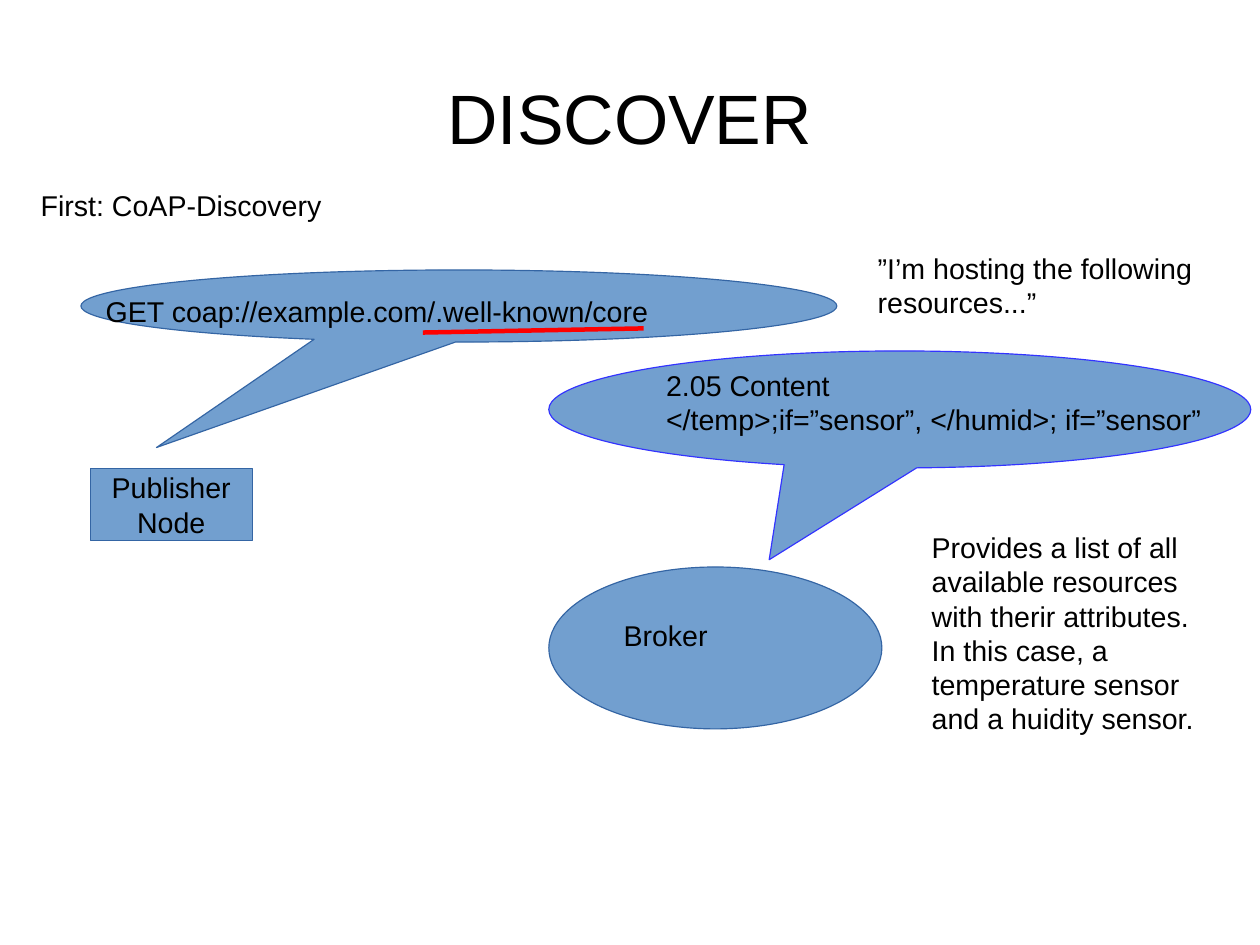
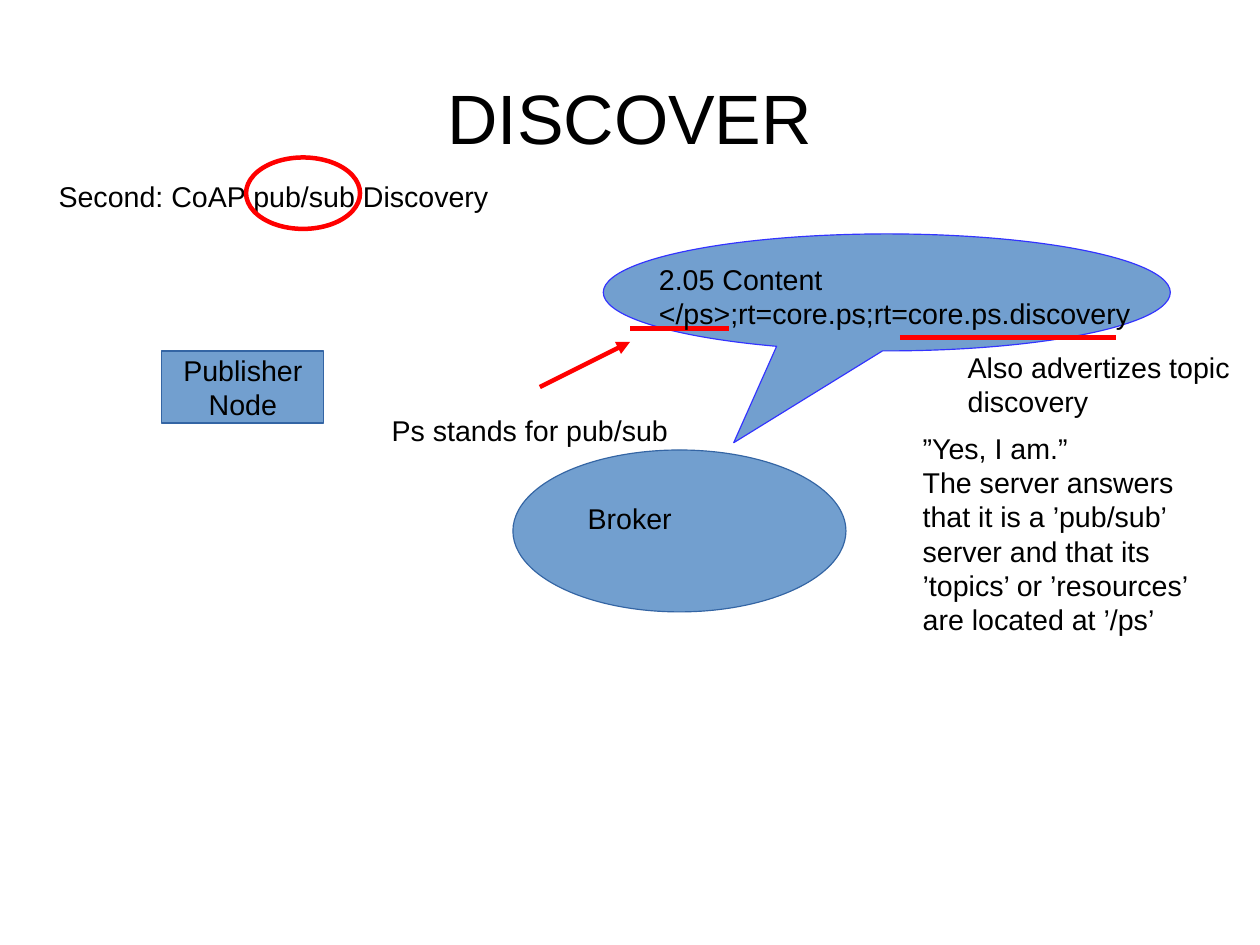
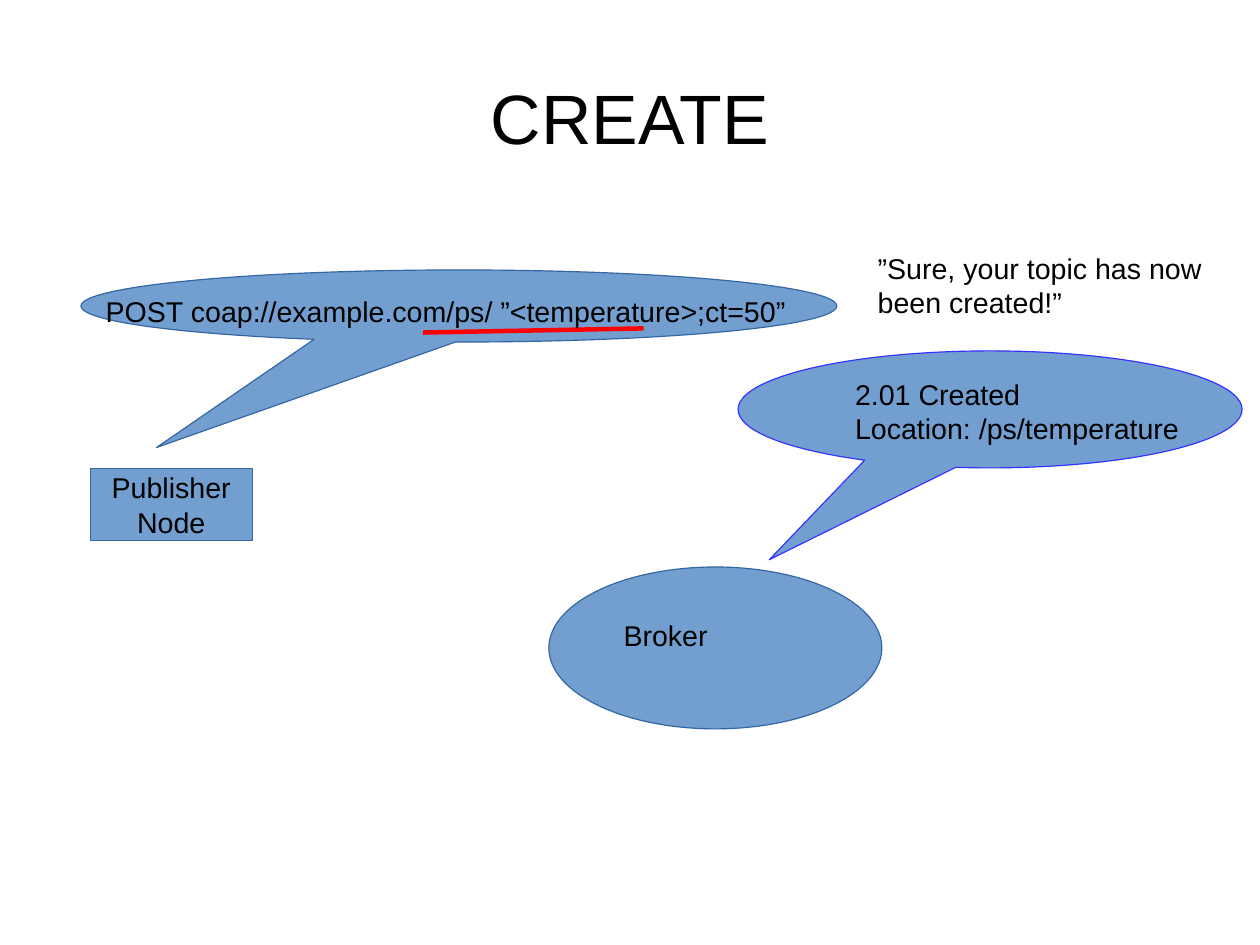
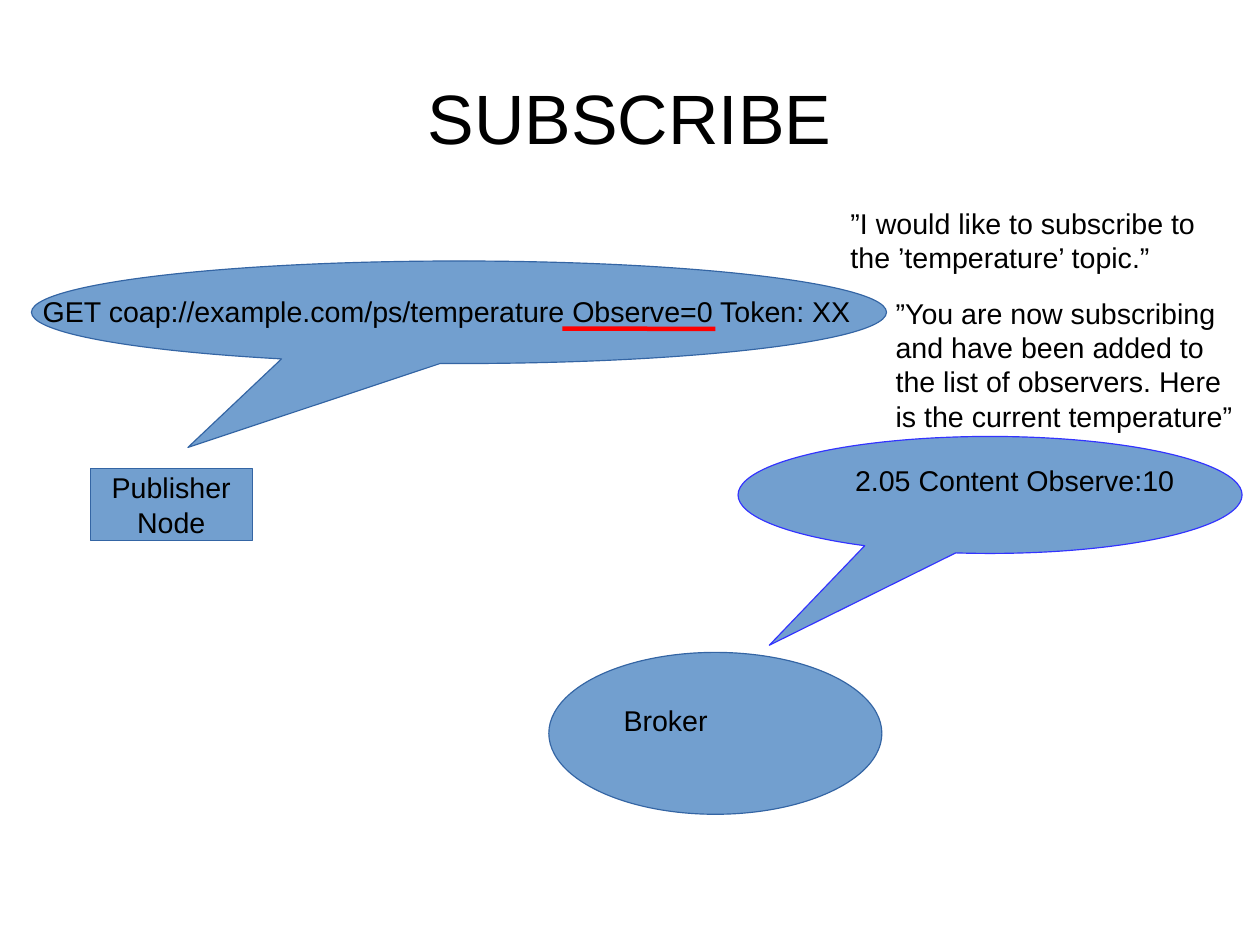
from dataclasses import dataclass

from lxml.etree import SubElement
from pptx import Presentation
from pptx.dml.color import RGBColor
from pptx.enum.shapes import MSO_CONNECTOR, MSO_SHAPE
from pptx.enum.text import MSO_ANCHOR, MSO_AUTO_SIZE, PP_ALIGN
from pptx.oxml.ns import qn
from pptx.util import Pt


@dataclass(frozen=True)
class Theme:
    font: str = "Arial"
    title_size: float = 44
    body_size: float = 18
    hairline: float = 0
    mark_width: float = 2.83
    ink: RGBColor = RGBColor(0x00, 0x00, 0x00)
    fill: RGBColor = RGBColor(0x72, 0x9F, 0xCF)
    border: RGBColor = RGBColor(0x34, 0x65, 0xA4)
    reply_border: RGBColor = RGBColor(0x33, 0x33, 0xFF)
    mark: RGBColor = RGBColor(0xFF, 0x00, 0x00)


THEME = Theme()

# Shared geometry, in points
SLIDE_SIZE = (793.7, 595.3)
TITLE_BOX = (39.7, 23.7, 714.3, 99.2)
PUBLISHER_SIZE = (102, 45.4)
BROKER_SIZE = (209.8, 102)
BROKER_LABEL_OFFSET = (40, 28.3)
BROKER_LABEL_SIZE = (130, 27.4)
TIGHT = (7.2, 3.6)
ROOMY = (8.6, 5)


# Parts of a slide
@dataclass(frozen=True)
class Publisher:
    left: float
    top: float


@dataclass(frozen=True)
class Broker:
    left: float
    top: float


@dataclass(frozen=True)
class Bubble:
    box: tuple[float, float, float, float]
    tip: tuple[float, float]
    border: RGBColor = THEME.border


@dataclass(frozen=True)
class Note:
    text: str
    box: tuple[float, float, float, float]
    inset: tuple[float, float] = ROOMY


@dataclass(frozen=True)
class Mark:
    start: tuple[float, float]
    end: tuple[float, float]
    arrow: bool = False


@dataclass(frozen=True)
class Ring:
    box: tuple[float, float, float, float]


def points(values):
    return [Pt(value) for value in values]


def format_text(frame, size=THEME.body_size, align=PP_ALIGN.LEFT):
    for paragraph in frame.paragraphs:
        paragraph.alignment = align
        for run in paragraph.runs:
            run.font.name = THEME.font
            run.font.size = Pt(size)
            run.font.color.rgb = THEME.ink


def set_insets(frame, horizontal: float, vertical: float):
    frame.margin_left = frame.margin_right = Pt(horizontal)
    frame.margin_top = frame.margin_bottom = Pt(vertical)


def draw_shape(slide, preset, box, border=THEME.border, width=THEME.hairline,
               filled=True):
    shape = slide.shapes.add_shape(preset, *points(box))
    shape.shadow.inherit = False
    if filled:
        shape.fill.solid()
        shape.fill.fore_color.rgb = THEME.fill
    else:
        shape.fill.background()
    shape.line.color.rgb = border
    shape.line.width = Pt(width)
    return shape


def draw_title(slide, title: str):
    frame = slide.shapes.add_textbox(*points(TITLE_BOX)).text_frame
    frame.word_wrap = True
    frame.vertical_anchor = MSO_ANCHOR.MIDDLE
    set_insets(frame, 0, 0)
    frame.text = title
    format_text(frame, THEME.title_size, PP_ALIGN.CENTER)


def draw_note(slide, note: Note):
    frame = slide.shapes.add_textbox(*points(note.box)).text_frame
    frame.word_wrap = True
    frame.auto_size = MSO_AUTO_SIZE.SHAPE_TO_FIT_TEXT
    set_insets(frame, *note.inset)
    frame.text = note.text
    format_text(frame)


def draw_publisher(slide, publisher: Publisher):
    box = (publisher.left, publisher.top, *PUBLISHER_SIZE)
    frame = draw_shape(slide, MSO_SHAPE.RECTANGLE, box).text_frame
    frame.word_wrap = False
    frame.vertical_anchor = MSO_ANCHOR.MIDDLE
    set_insets(frame, *TIGHT)
    frame.text = "Publisher\nNode"
    format_text(frame, align=PP_ALIGN.CENTER)


def draw_broker(slide, broker: Broker):
    draw_shape(slide, MSO_SHAPE.OVAL, (broker.left, broker.top, *BROKER_SIZE))
    dx, dy = BROKER_LABEL_OFFSET
    label_box = (broker.left + dx, broker.top + dy, *BROKER_LABEL_SIZE)
    draw_note(slide, Note("Broker", label_box, TIGHT))


def draw_bubble(slide, bubble: Bubble):
    callout = draw_shape(slide, MSO_SHAPE.OVAL_CALLOUT, bubble.box, bubble.border)
    callout.adjustments[0], callout.adjustments[1] = bubble.tip


def draw_ring(slide, ring: Ring):
    draw_shape(slide, MSO_SHAPE.OVAL, ring.box, THEME.mark, THEME.mark_width,
               filled=False)


def draw_mark(slide, mark: Mark):
    stroke = slide.shapes.add_connector(
        MSO_CONNECTOR.STRAIGHT, *points(mark.start + mark.end))
    stroke.line.color.rgb = THEME.mark
    stroke.line.width = Pt(THEME.mark_width)
    properties = stroke._element.spPr
    if mark.arrow:
        SubElement(properties.find(qn("a:ln")), qn("a:tailEnd"), type="triangle")
    SubElement(properties, qn("a:effectLst"))


DRAWERS = {
    Publisher: draw_publisher,
    Broker: draw_broker,
    Bubble: draw_bubble,
    Note: draw_note,
    Mark: draw_mark,
    Ring: draw_ring,
}

# Parts that come back on several slides
PUBLISHER = Publisher(56.9, 295.2)
BROKER = Broker(345.7, 357.2)
REQUEST_BUBBLE = Bubble((51, 170.1, 476.2, 45.4), (-0.4, 1.963))
REQUEST_BOX = (59.5, 181.4, 459.4, 47.5)
REQUEST_UNDERLINE = Mark((266.4, 209.5), (405.4, 206.9))
QUOTE_BOX = (544.3, 153.1, 249.1, 50.4)


def reply_bubble(left: float, top: float, width: float, tip_x: float) -> Bubble:
    return Bubble((left, top, width, 73.7), (tip_x, 1.285), THEME.reply_border)


SLIDES = (
    ("DISCOVER", (
        PUBLISHER,
        REQUEST_BUBBLE,
        Note("GET coap://example.com/.well-known/core", REQUEST_BOX, TIGHT),
        REQUEST_UNDERLINE,
        Note("First: CoAP-Discovery", (17, 113.4, 771.1, 30.2)),
        BROKER,
        reply_bubble(345.7, 221.1, 442.2, -0.186),
        Note("2.05 Content\n</temp>;if=”sensor”, </humid>; if=”sensor”",
             (411, 226.8, 364, 50.4)),
        Note("Provides a list of all available resources with therir attributes.\n"
             "In this case, a temperature sensor and a huidity sensor.",
             (578.3, 328.8, 204, 131)),
        Note("”I’m hosting the following resources...”", QUOTE_BOX),
    )),
    ("DISCOVER", (
        Publisher(102, 221.1),
        Broker(323.1, 283.5),
        reply_bubble(380, 147.4, 357.2, -0.27),
        Mark((396.9, 206.9), (459.2, 206.9)),
        Mark((340.1, 243.8), (396.9, 215.4), arrow=True),
        Note("Ps stands for pub/sub", (238.1, 255.1, 209.8, 30.2)),
        Note("”Yes, I am.”\nThe server answers that it is a ’pub/sub’ server and "
             "that its ’topics’ or ’resources’ are located at ’/ps’",
             (572.6, 266.4, 209.8, 131)),
        Note("Second: CoAP pub/sub Discovery", (28.3, 107.7, 357.2, 30.2)),
        Ring((155, 99.2, 71.8, 45)),
        Note("2.05 Content\n</ps>;rt=core.ps;rt=core.ps.discovery",
             (408, 161.6, 380, 48.2), TIGHT),
        Note("Also advertizes topic\ndiscovery", (601, 215.4, 187.1, 64.8)),
        Mark((566.9, 212.6), (702.9, 212.6)),
    )),
    ("CREATE", (
        PUBLISHER,
        REQUEST_BUBBLE,
        REQUEST_UNDERLINE,
        BROKER,
        reply_bubble(464.9, 221.1, 317.5, -0.438),
        Note("2.01 Created\nLocation: /ps/temperature", (530, 232.5, 231, 50.4)),
        Note("”Sure, your topic has now been created!”", QUOTE_BOX),
        Note("POST coap://example.com/ps/ ”<temperature>;ct=50”",
             REQUEST_BOX, TIGHT),
    )),
    ("SUBSCRIBE", (
        PUBLISHER,
        Bubble((19.8, 164.4, 538.6, 64.6), (-0.317, 1.318)),
        Note("GET coap://example.com/ps/temperature Observe=0 Token: XX",
             (19.8, 181.4, 556, 47.5), TIGHT),
        Mark((354.3, 207), (450.7, 207.2)),
        Note("”I would like to subscribe to the ’temperature’ topic.”",
             (527.2, 124.7, 260.8, 50.4)),
        Broker(345.7, 411),
        reply_bubble(464.9, 275, 317.5, -0.438),
        Note("2.05 Content Observe:10", (530, 286.4, 231, 50.4)),
        Note("”You are now subscribing and have been added to the list of "
             "observers. Here is the current temperature”",
             (555.6, 181.4, 232.6, 90.7)),
    )),
)


def main():
    deck = Presentation()
    deck.slide_width, deck.slide_height = points(SLIDE_SIZE)
    blank = deck.slide_layouts[6]
    for title, parts in SLIDES:
        slide = deck.slides.add_slide(blank)
        draw_title(slide, title)
        for part in parts:
            DRAWERS[type(part)](slide, part)
    deck.save("out.pptx")


if __name__ == "__main__":
    main()
